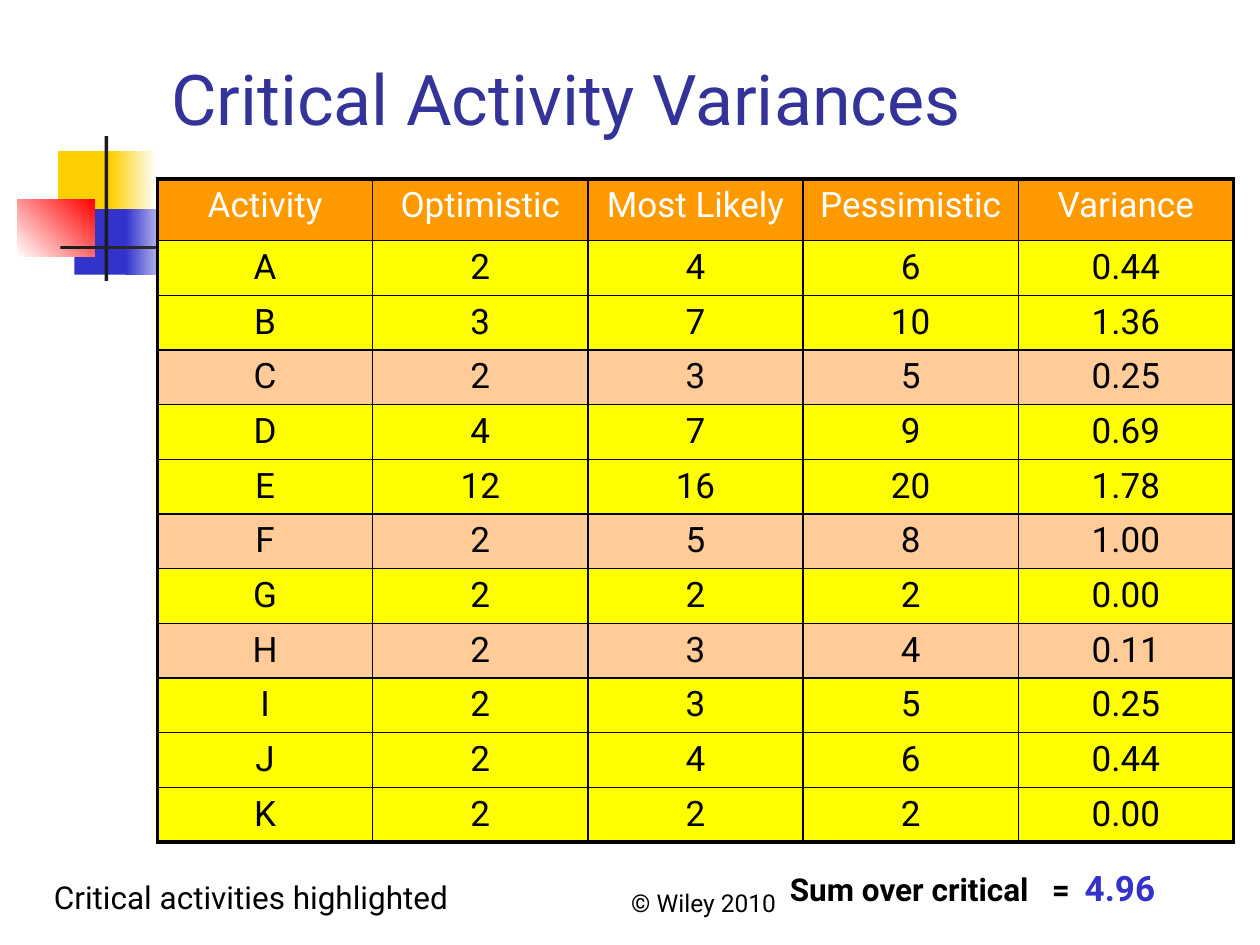
from typing import NamedTuple, Optional

import lxml.etree
import pptx
import pptx.dml.color
import pptx.enum.shapes
import pptx.enum.text
import pptx.oxml.ns
import pptx.util

Inches = pptx.util.Inches
Align = pptx.enum.text.PP_ALIGN
Anchor = pptx.enum.text.MSO_ANCHOR
qn = pptx.oxml.ns.qn

FONT = "Roboto"
COLORS = {
    "white": "FFFFFF", "black": "000000", "charcoal": "1C1C1C",
    "gold": "FFCF01", "blue": "3333CC", "red": "FF0000", "title": "333399",
    "header": "FF9900", "critical": "FFFF00", "other": "FFCC99",
}


class Block(NamedTuple):
    left: float
    top: float
    width: float
    height: float
    color: str
    fade_to: Optional[str] = None
    angle: float = 0


class Activity(NamedTuple):
    name: str
    optimistic: int
    likely: int
    pessimistic: int
    variance: str
    critical: bool = True


ORNAMENT = [
    Block(0.46, 1.2, 0.48, 0.52, "gold"),
    Block(0.88, 1.2, 0.36, 0.52, "gold", "white"),
    Block(0.59, 1.66, 0.46, 0.52, "blue"),
    Block(1, 1.66, 0.4, 0.52, "blue", "white"),
    Block(0.14, 1.58, 0.61, 0.46, "white", "red", 45),
    Block(0.83, 1.08, 0.03, 1.15, "charcoal"),
    Block(0.48, 1.95, 9, 0.03, "charcoal", "white"),
]
HEADINGS = ["Activity", "Optimistic", "Most Likely", "Pessimistic", "Variance"]
ACTIVITIES = [
    Activity("A", 2, 4, 6, "0.44"),
    Activity("B", 3, 7, 10, "1.36"),
    Activity("C", 2, 3, 5, "0.25", critical=False),
    Activity("D", 4, 7, 9, "0.69"),
    Activity("E", 12, 16, 20, "1.78"),
    Activity("F", 2, 5, 8, "1.00", critical=False),
    Activity("G", 2, 2, 2, "0.00"),
    Activity("H", 2, 3, 4, "0.11", critical=False),
    Activity("I", 2, 3, 5, "0.25"),
    Activity("J", 2, 4, 6, "0.44"),
    Activity("K", 2, 2, 2, "0.00"),
]
TABLE_LEFT, TABLE_TOP, TABLE_WIDTH, TABLE_HEIGHT = 1.25, 1.42, 8.54, 5.26
HEADER_HEIGHT = 0.49
INNER_BORDER, OUTER_BORDER = 1, 2.25


def rgb(color: str) -> pptx.dml.color.RGBColor:
    return pptx.dml.color.RGBColor.from_string(COLORS[color])


def write(paragraph, text: str, *, size: float, color: str = "black",
          bold: bool = False, align=Align.LEFT) -> None:
    """Append a formatted run to the paragraph."""
    paragraph.alignment = align
    run = paragraph.add_run()
    run.text = text
    run.font.name = FONT
    run.font.size = pptx.util.Pt(size)
    run.font.bold = bold
    run.font.color.rgb = rgb(color)


def add_text_area(slide, left: float, top: float, width: float, height: float,
                  anchor=Anchor.TOP):
    """Add a wrapping text box and return its first paragraph."""
    frame = slide.shapes.add_textbox(
        Inches(left), Inches(top), Inches(width), Inches(height)).text_frame
    frame.word_wrap = True
    frame.vertical_anchor = anchor
    return frame.paragraphs[0]


def add_tab_stops(paragraph, *positions: float) -> None:
    tabs = lxml.etree.SubElement(paragraph._p.get_or_add_pPr(), qn("a:tabLst"))
    for position in positions:
        lxml.etree.SubElement(tabs, qn("a:tab"), pos=str(Inches(position)), algn="l")


def draw_block(slide, block: Block) -> None:
    shape = slide.shapes.add_shape(
        pptx.enum.shapes.MSO_SHAPE.RECTANGLE, Inches(block.left), Inches(block.top),
        Inches(block.width), Inches(block.height))
    shape.shadow.inherit = False
    shape.line.fill.background()
    if block.fade_to is None:
        shape.fill.solid()
        shape.fill.fore_color.rgb = rgb(block.color)
        return
    shape.fill.gradient()
    shape.fill.gradient_angle = block.angle
    stops = shape.fill.gradient_stops
    for stop, color, position in zip(stops, (block.color, block.fade_to), (0, 1)):
        stop.color.rgb = rgb(color)
        stop.position = position


def set_borders(cell, **on_edge: bool) -> None:
    """Border all four sides, heavier on those at the edge of the table."""
    properties = cell._tc.get_or_add_tcPr()
    for side, outer in on_edge.items():
        width = pptx.util.Pt(OUTER_BORDER if outer else INNER_BORDER)
        line = lxml.etree.SubElement(properties, qn(f"a:ln{side}"), w=str(width))
        fill = lxml.etree.SubElement(line, qn("a:solidFill"))
        lxml.etree.SubElement(fill, qn("a:srgbClr"), val=COLORS["black"])


def draw_table(slide) -> None:
    rows = [(HEADINGS, "header", "white")]
    rows += [(activity[:5], "critical" if activity.critical else "other", "black")
             for activity in ACTIVITIES]
    last_row, last_column = len(rows) - 1, len(HEADINGS) - 1
    table = slide.shapes.add_table(
        len(rows), len(HEADINGS), Inches(TABLE_LEFT), Inches(TABLE_TOP),
        Inches(TABLE_WIDTH), Inches(TABLE_HEIGHT)).table
    table.first_row = table.horz_banding = False
    for column in table.columns:
        column.width = Inches(TABLE_WIDTH / len(HEADINGS))
    body_height = (TABLE_HEIGHT - HEADER_HEIGHT) / len(ACTIVITIES)
    for r, (values, background, ink) in enumerate(rows):
        table.rows[r].height = Inches(body_height if r else HEADER_HEIGHT)
        for c, value in enumerate(values):
            cell = table.cell(r, c)
            set_borders(cell, L=c == 0, R=c == last_column, T=r == 0, B=r == last_row)
            cell.fill.solid()
            cell.fill.fore_color.rgb = rgb(background)
            write(cell.text_frame.paragraphs[0], str(value), size=20, color=ink,
                  align=Align.CENTER)


def main() -> None:
    presentation = pptx.Presentation()
    presentation.slide_width, presentation.slide_height = Inches(10), Inches(7.5)
    slide = presentation.slides.add_slide(presentation.slide_layouts[6])

    for block in ORNAMENT:
        draw_block(slide, block)
    write(add_text_area(slide, 4, 6.83, 3.17, 0.5, Anchor.BOTTOM), "© Wiley 2010",
          size=14, align=Align.CENTER)
    write(add_text_area(slide, 1.26, 0.23, 8.52, 0.93, Anchor.BOTTOM),
          "Critical Activity Variances", size=40, color="title")
    draw_table(slide)
    write(add_text_area(slide, 0.33, 6.92, 4.17, 0.4),
          "Critical activities highlighted", size=18)

    variance_sum = add_text_area(slide, 6.17, 6.83, 3.58, 0.43)
    add_tab_stops(variance_sum, 2.08, 2.34)
    write(variance_sum, "Sum over critical\t=\t", size=18, bold=True)
    write(variance_sum, "4.96", size=20, color="blue", bold=True)

    presentation.save("out.pptx")


if __name__ == "__main__":
    main()
